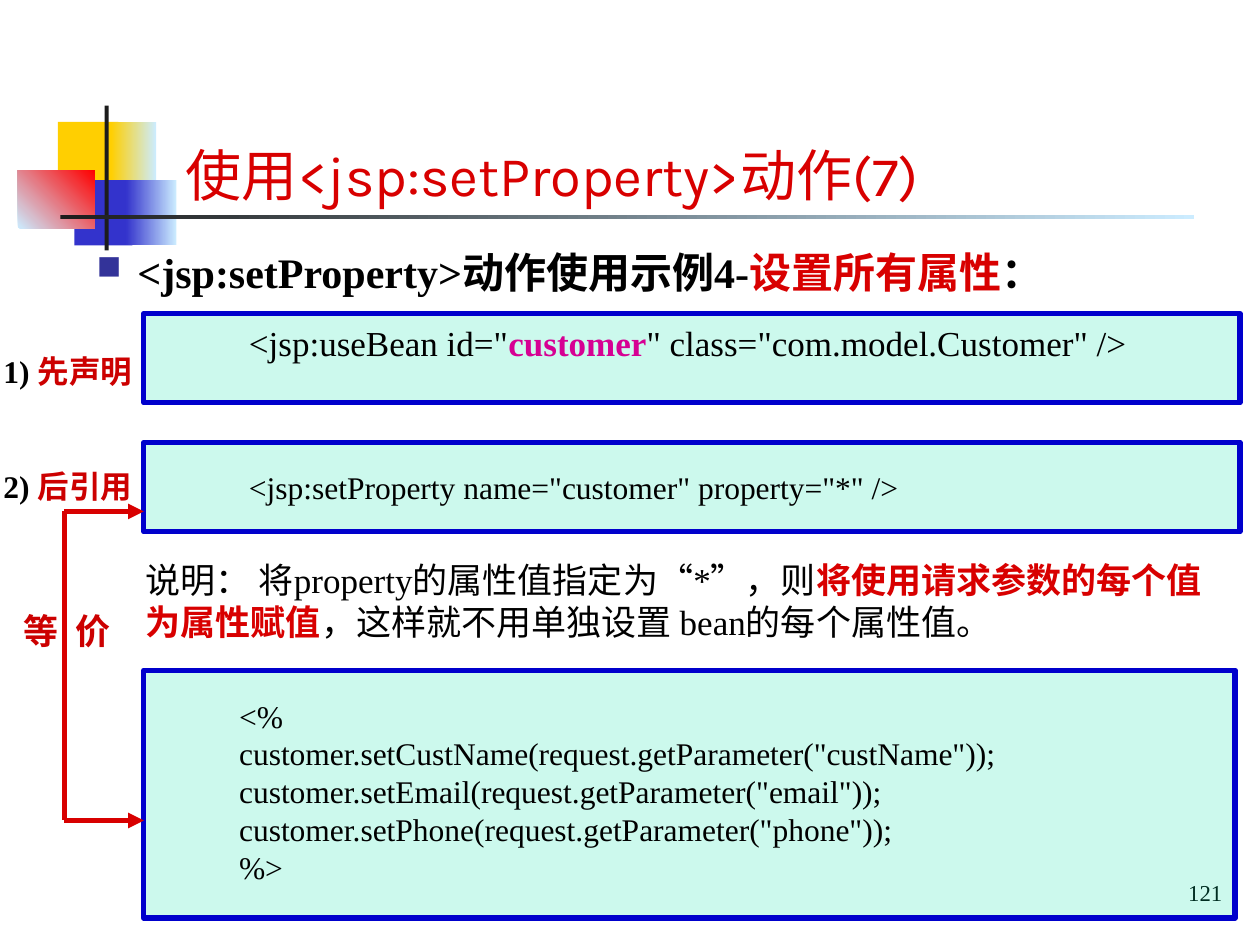
from dataclasses import dataclass

from lxml.etree import SubElement
from pptx import Presentation
from pptx.dml.color import RGBColor
from pptx.enum.shapes import MSO_CONNECTOR as Connector, MSO_SHAPE as Preset
from pptx.enum.text import MSO_ANCHOR as Anchor, PP_ALIGN as Align
from pptx.oxml.ns import qn
from pptx.util import Cm, Pt

BLACK, RED, LABEL_RED, PINK = "000000", "D80000", "CC0000", "D60093"
YELLOW, BLUE, PALE, DARK = "FFCF01", "3333CC", "CCECFF", "1C1C1C"
SERIF = "Times New Roman"


@dataclass(frozen=True)
class Box:
    """Place and size in centimetres."""
    left: float
    top: float
    width: float
    height: float

    def lengths(self) -> tuple:
        return Cm(self.left), Cm(self.top), Cm(self.width), Cm(self.height)


@dataclass(frozen=True)
class Block:
    """Rectangle of the title ornament; a second colour makes a gradient."""
    box: Box
    color: str
    end_color: str = ""
    angle: int = 0


@dataclass(frozen=True)
class Run:
    text: str
    color: str = BLACK
    bold: bool = False
    spacing: int = 0


@dataclass(frozen=True)
class Text:
    box: Box
    paragraphs: list
    size: int
    font: str = SERIF
    indent: float = 0
    wrap: bool = True
    anchor: Anchor = Anchor.TOP
    align: Align = Align.LEFT
    bullet: str = ""


def rgb(color: str) -> RGBColor:
    return RGBColor.from_string(color)


def add_rectangle(slide, box: Box):
    shape = slide.shapes.add_shape(Preset.RECTANGLE, *box.lengths())
    shape.shadow.inherit = False
    return shape


def draw_block(slide, block: Block) -> None:
    shape = add_rectangle(slide, block.box)
    shape.line.fill.background()
    if block.end_color:
        shape.fill.gradient()
        shape.fill.gradient_angle = block.angle
        for stop, color in zip(shape.fill.gradient_stops, (block.color, block.end_color)):
            stop.color.rgb = rgb(color)
    else:
        shape.fill.solid()
        shape.fill.fore_color.rgb = rgb(block.color)


def draw_panel(slide, box: Box) -> None:
    shape = add_rectangle(slide, box)
    shape.fill.solid()
    shape.fill.fore_color.rgb = rgb("00E4A8")
    color = shape._element.spPr.find(qn("a:solidFill"))[0]
    SubElement(color, qn("a:alpha"), val="20000")
    shape.line.color.rgb = rgb("0000CC")
    shape.line.width = Pt(3)


def add_bullet(paragraph, character: str) -> None:
    properties = paragraph._p.get_or_add_pPr()
    hanging = Cm(0.61)
    properties.set("marL", str(hanging))
    properties.set("indent", str(-hanging))
    color = SubElement(properties, qn("a:buClr"))
    SubElement(color, qn("a:srgbClr"), val="333399")
    SubElement(properties, qn("a:buSzPct"), val="80000")
    SubElement(properties, qn("a:buChar"), char=character)


def draw_text(slide, text: Text) -> None:
    frame = slide.shapes.add_textbox(*text.box.lengths()).text_frame
    frame.word_wrap = text.wrap
    frame.vertical_anchor = text.anchor
    for index, runs in enumerate(text.paragraphs):
        paragraph = frame.add_paragraph() if index else frame.paragraphs[0]
        paragraph.alignment = text.align
        if text.indent:
            paragraph._p.get_or_add_pPr().set("marL", str(Cm(text.indent)))
        if text.bullet:
            add_bullet(paragraph, text.bullet)
        for item in runs:
            run = paragraph.add_run()
            run.text = item.text
            run.font.name = text.font
            run.font.size = Pt(text.size)
            run.font.bold = item.bold
            run.font.color.rgb = rgb(item.color)
            if item.spacing:
                run._r.get_or_add_rPr().set("spc", str(item.spacing))


def draw_line(slide, start: tuple, end: tuple, arrow: bool) -> None:
    points = [Cm(value) for value in (*start, *end)]
    connector = slide.shapes.add_connector(Connector.STRAIGHT, *points)
    connector.line.color.rgb = rgb(RED)
    connector.line.width = Pt(3)
    if arrow:
        SubElement(connector.line._get_or_add_ln(), qn("a:tailEnd"), type="triangle")
    SubElement(connector._element.spPr, qn("a:effectLst"))


def main() -> None:
    presentation = Presentation()
    presentation.slide_width, presentation.slide_height = Cm(25.4), Cm(19.05)
    slide = presentation.slides.add_slide(presentation.slide_layouts[6])

    # Title ornament
    for block in (
        Block(Box(1.17, 2.46, 1.22, 1.32), YELLOW),
        Block(Box(2.24, 2.46, 0.91, 1.32), YELLOW, PALE),
        Block(Box(1.5, 3.63, 1.17, 1.32), BLUE),
        Block(Box(2.54, 3.63, 1.02, 1.32), BLUE, PALE),
        Block(Box(0.36, 3.43, 1.55, 1.17), PALE, "FF0000", 45),
        Block(Box(2.11, 2.13, 0.08, 2.92), DARK),
        Block(Box(1.22, 4.34, 22.86, 0.08), DARK, PALE),
    ):
        draw_block(slide, block)

    # Page number, under the translucent panels
    draw_text(slide, Text(Box(20.04, 17.53, 4.85, 0.94), [[Run("121")]], 13,
                          wrap=False, anchor=Anchor.MIDDLE, align=Align.RIGHT))

    # Code panels
    for panel in (Box(2.9, 13.51, 22, 5), Box(2.9, 6.32, 22.1, 1.8),
                  Box(2.9, 8.92, 22.1, 1.8)):
        draw_panel(slide, panel)

    # Title and heading
    draw_text(slide, Text(Box(3.5, 1.32, 18.6, 3),
                          [[Run("使用<jsp:setProperty>动作(7)", RED)]],
                          32, font="Karla", anchor=Anchor.BOTTOM))
    draw_text(slide, Text(Box(1.7, 4.85, 22.8, 1.27), [[
        Run(" <jsp:setProperty>动作使用示例4-", bold=True),
        Run("设置所有属性", RED, True),
        Run("：", bold=True)]], 24, bullet="■"))

    # Step labels
    for number, label, top in ((1, "先声明", 6.98), (2, "后引用", 9.3)):
        draw_text(slide, Text(Box(-0.18, top, 3.25, 1.02), [[
            Run(f"{number}) ", bold=True), Run(label, LABEL_RED, True)]],
            18, wrap=False))

    # Code
    script_lines = (
        "<%",
        'customer.setCustName(request.getParameter("custName"));',
        'customer.setEmail(request.getParameter("email"));',
        'customer.setPhone(request.getParameter("phone"));',
        "%>",
    )
    draw_text(slide, Text(Box(3.3, 13.92, 21.1, 4.06),
                          [[Run(line)] for line in script_lines], 18, indent=1.27))
    draw_text(slide, Text(Box(3.5, 9.32, 20.6, 1.02), [[
        Run('<jsp:setProperty name="customer" property="*" />')]], 18, indent=1.27))
    draw_text(slide, Text(Box(3.5, 6.35, 20.6, 1.09), [[
        Run('<jsp:useBean id="'),
        Run("customer", PINK, True),
        Run('" class="com.model.Customer" />')]], 20, indent=1.27))

    # Bracket joining the equivalent panels
    bracket_left, panel_left, upper, lower = 1.3, 2.9, 10.31, 16.54
    draw_line(slide, (bracket_left, upper), (bracket_left, lower), arrow=False)
    for level in (upper, lower):
        draw_line(slide, (bracket_left, level), (panel_left, level), arrow=True)
    draw_text(slide, Text(Box(0.23, 12.17, 2.26, 1.09), [[
        Run("等", LABEL_RED, True),
        Run(" ", LABEL_RED, True, spacing=500),
        Run("价", LABEL_RED, True)]], 20, wrap=False))

    # Explanation
    draw_text(slide, Text(Box(2.69, 11.13, 21.8, 1.95), [[
        Run("说明： 将property的属性值指定为“*”，则"),
        Run("将使用请求参数的每个值为属性赋值", RED, True),
        Run("，这样就不用单独设置 bean的每个属性值。")]], 20))

    presentation.save("out.pptx")


if __name__ == "__main__":
    main()
